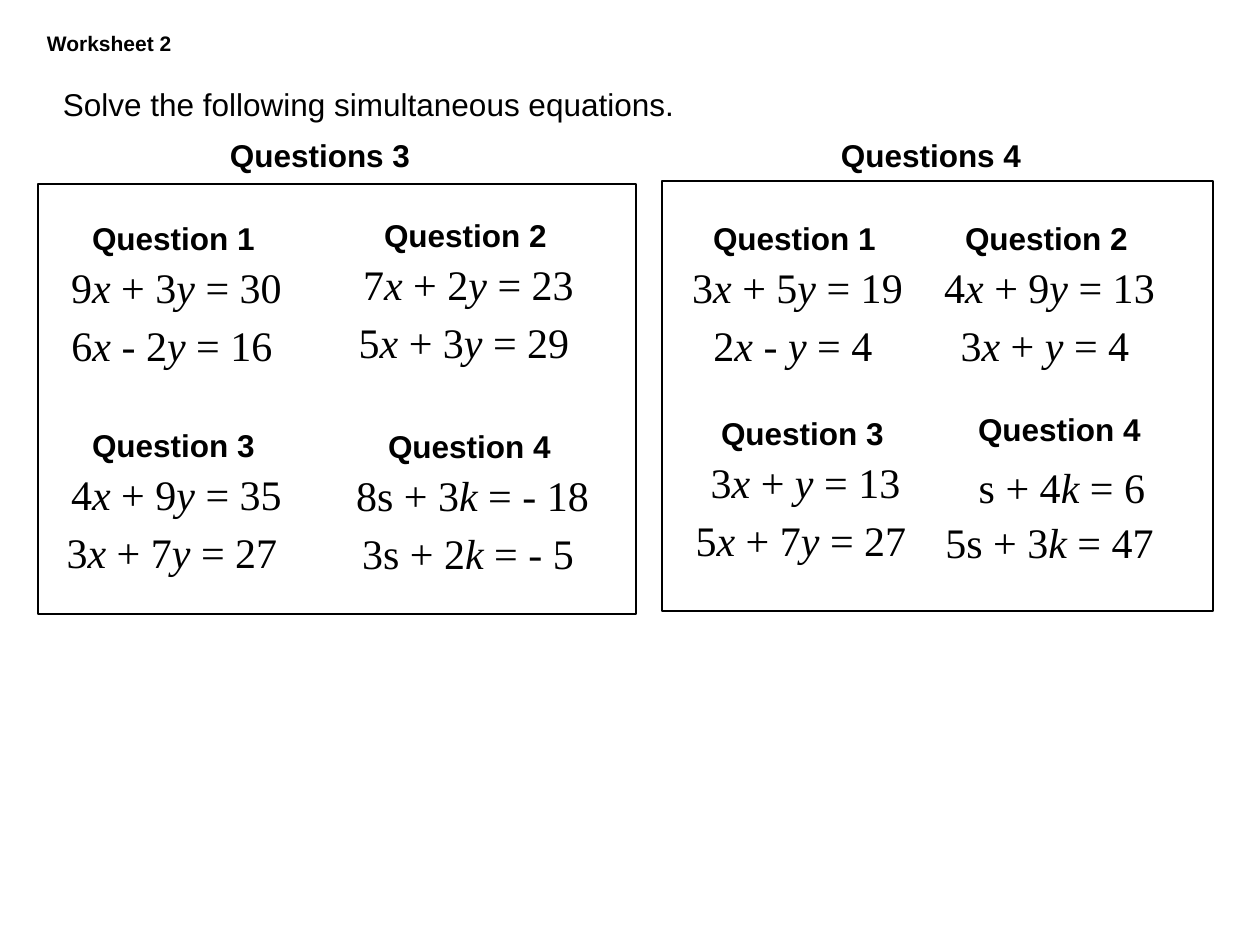
from itertools import groupby

from pptx import Presentation
from pptx.dml.color import RGBColor
from pptx.enum.shapes import MSO_SHAPE as SHAPE
from pptx.enum.text import MSO_ANCHOR as ANCHOR, MSO_AUTO_SIZE as AUTO, PP_ALIGN as ALIGN
from pptx.util import Emu, Pt

BLACK = RGBColor(0x00, 0x00, 0x00)
PX_PER_INCH = 126
VARIABLES = "xyk"
USUAL_LINES = ((-44, 43, 353), (-30, 101, 316))
SWAPPED_LINES = ((-26, 52, 316), (-57, 107, 353))

PANELS = [
    ("Questions 3", (217, 130), (38, 184, 598, 430), [
        ("Question 1", (44, 213), ("9x + 3y = 30", "6x - 2y = 16"), USUAL_LINES),
        ("Question 2", (336, 210), ("7x + 2y = 23", "5x + 3y = 29"), USUAL_LINES),
        ("Question 3", (44, 420), ("4x + 9y = 35", "3x + 7y = 27"), USUAL_LINES),
        ("Question 4", (340, 421), ("8s + 3k = - 18", "3s + 2k = - 5"), USUAL_LINES),
    ]),
    ("Questions 4", (828, 130), (662, 181, 551, 430), [
        ("Question 1", (665, 213), ("3x + 5y = 19", "2x - y = 4"), USUAL_LINES),
        ("Question 2", (917, 213), ("4x + 9y = 13", "3x + y = 4"), USUAL_LINES),
        ("Question 3", (673, 408), ("3x + y = 13", "5x + 7y = 27"), USUAL_LINES),
        ("Question 4", (930, 404), ("s + 4k = 6", "5s + 3k = 47"), SWAPPED_LINES),
    ]),
]


def px(n):
    return Emu(round(n * 914400 / PX_PER_INCH))


def write(sp, text, size=18, font="Arial", bold=False, align=ALIGN.LEFT,
          inset=13, italics=""):
    tf = sp.text_frame
    tf.word_wrap = True
    tf.auto_size = AUTO.NONE
    tf.vertical_anchor = ANCHOR.TOP
    tf.margin_left, tf.margin_right = px(inset), px(13)
    tf.margin_top = tf.margin_bottom = px(6)
    p = tf.paragraphs[0]
    p.alignment = align
    for italic, chars in groupby(text, key=lambda c: c in italics):
        r = p.add_run()
        r.text = "".join(chars)
        r.font.name = font
        r.font.size = Pt(size)
        r.font.bold = bold
        r.font.italic = italic
        r.font.color.rgb = BLACK


def add_text(slide, x, y, w, h, text, **fmt):
    sp = slide.shapes.add_textbox(px(x), px(y), px(w), px(h))
    write(sp, text, **fmt)


def add_title(slide, x, y, w, h, text, **fmt):
    sp = slide.shapes.title
    sp.left, sp.top, sp.width, sp.height = px(x), px(y), px(w), px(h)
    write(sp, text, **fmt)


def add_frame(slide, x, y, w, h):
    sp = slide.shapes.add_shape(SHAPE.RECTANGLE, px(x), px(y), px(w), px(h))
    sp.shadow.inherit = False
    sp.fill.background()
    sp.line.color.rgb = BLACK
    sp.line.width = Pt(0.75)


def add_question(slide, heading, x, y, equations, lines):
    for equation, (dx, dy, w) in zip(equations, lines):
        add_text(slide, x + dx, y + dy, w, 63, equation, size=24,
                 font="Times New Roman", align=ALIGN.CENTER, italics=VARIABLES)
    add_text(slide, x, y, 248, 50, heading, bold=True, inset=48)


def add_panel(slide, heading, heading_at, frame, questions):
    for name, at, equations, lines in questions:
        add_question(slide, name, *at, equations, lines)
    add_frame(slide, *frame)
    add_text(slide, *heading_at, 263, 50, heading, bold=True)


def main():
    prs = Presentation()
    prs.slide_width, prs.slide_height = px(1260), px(945)
    slide = prs.slides.add_slide(prs.slide_layouts[5])
    add_title(slide, 34, 25, 188, 38, "Worksheet 2", size=12, bold=True)
    add_text(slide, 50, 79, 658, 50, "Solve the following simultaneous equations.")
    for panel in PANELS:
        add_panel(slide, *panel)
    prs.save("out.pptx")


if __name__ == "__main__":
    main()
